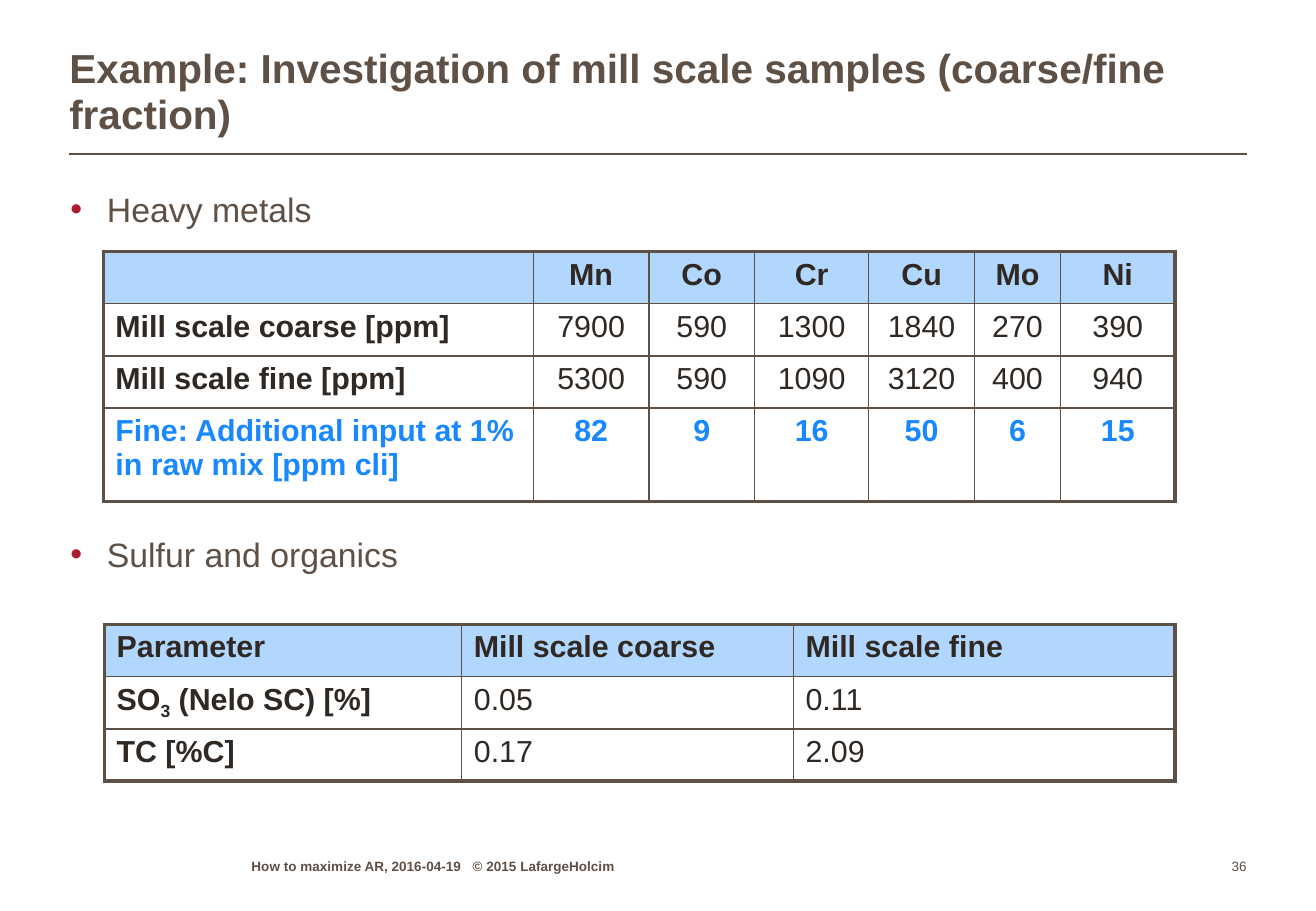
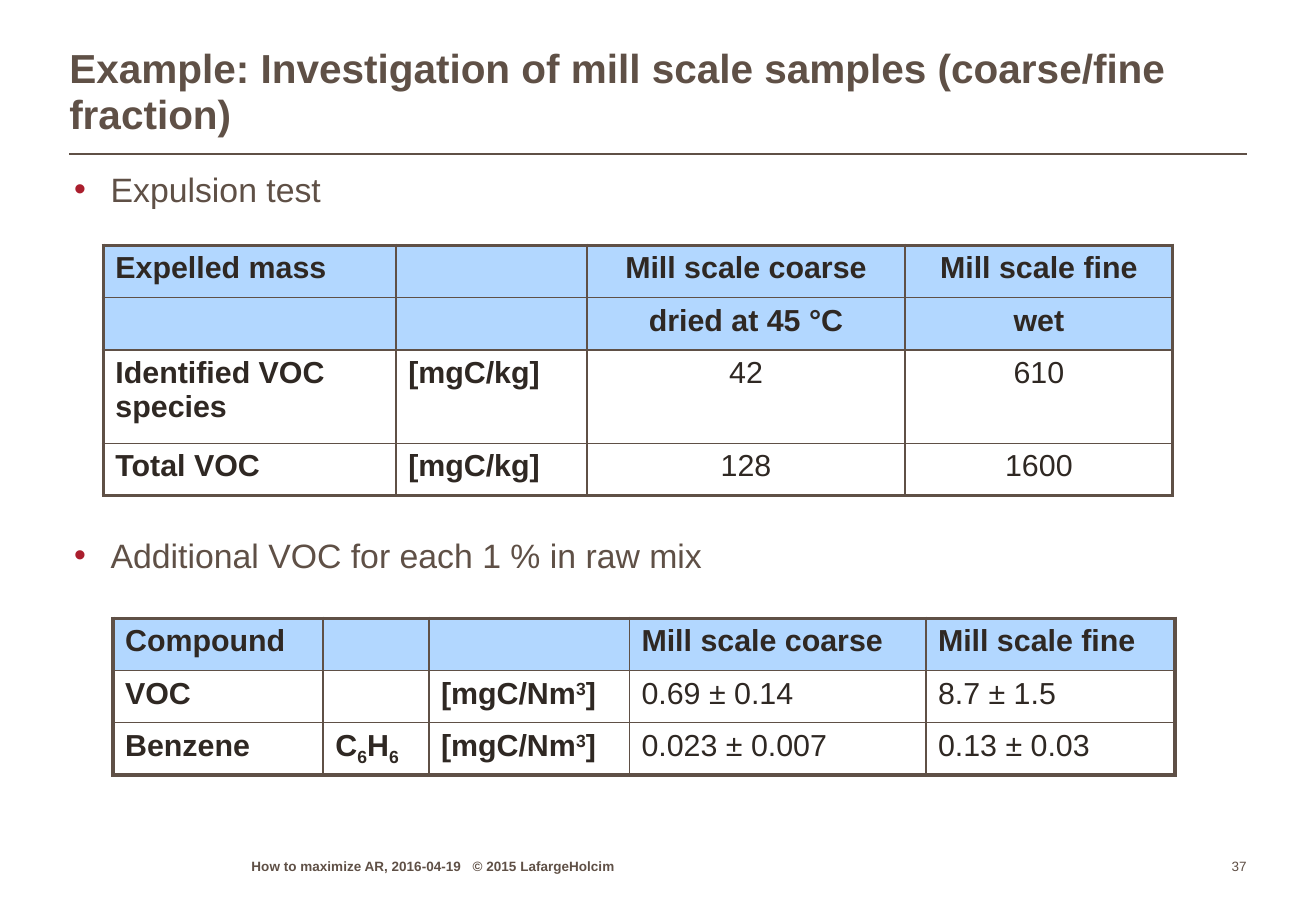
from lxml import etree
from pptx import Presentation
from pptx.dml.color import RGBColor
from pptx.enum.shapes import MSO_CONNECTOR
from pptx.enum.text import MSO_ANCHOR, MSO_AUTO_SIZE, PP_ALIGN
from pptx.oxml.ns import qn
from pptx.util import Inches, Pt

COLORS = {
    "brown": "5F5046",
    "ink": "2F2823",
    "header": "B2D7FF",
    "accent": "1988FF",
    "bullet": "AA1E2D",
}
FONT = "Arial"
TITLE = "Example: Investigation of mill scale samples (coarse/fine fraction)"
FOOTER = "How to maximize AR, 2016-04-19\t© 2015 LafargeHolcim"
LEFT, RIGHT = 0.57, 10.26
ROW, TALL_ROW = 0.43, 0.77
THIN, THICK = 1, 2.25
SUB, SUPER = -25, 30

SULFUR = [("SO", 0), ("3", SUB), (" (Nelo SC) [%]", 0)]
BENZENE = [("C", 0), ("6", SUB), ("H", 0), ("6", SUB)]
MG_PER_NM3 = [("[mgC/Nm", 0), ("3", SUPER), ("]", 0)]


def rgb(name):
    return RGBColor.from_string(COLORS[name])


def add_child(parent, tag, **attributes):
    return etree.SubElement(parent, qn(tag), attributes)


def add_solid_fill(parent, color):
    add_child(add_child(parent, "a:solidFill"), "a:srgbClr", val=COLORS[color])


class Deck:
    """Holds the shared style, the presentation and the current slide."""

    def __init__(self):
        self.presentation = Presentation()
        self.presentation.slide_width = Inches(10.83)
        self.presentation.slide_height = Inches(7.5)
        self.page = None

    def format_runs(self, para, size, color="brown", bold=False):
        for span in para.runs:
            font = span.font
            font.name, font.size, font.bold = FONT, Pt(size), bold
            font.color.rgb = rgb(color)

    def place(self, box, left, top, width, height):
        box.left, box.top = Inches(left), Inches(top)
        box.width, box.height = Inches(width), Inches(height)

    def prepare_frame(self, box, anchor, wrap=True):
        """Remove the insets and fix the size of a text frame."""
        frame = box.text_frame
        frame.margin_left = frame.margin_right = 0
        frame.margin_top = frame.margin_bottom = 0
        frame.auto_size = MSO_AUTO_SIZE.NONE
        frame.word_wrap = wrap
        frame.vertical_anchor = anchor
        return frame

    def add_page(self, number):
        layout = self.presentation.slide_layouts[1]
        self.page = self.presentation.slides.add_slide(layout)
        self.add_title()
        self.add_rule()
        footer = self.add_small_text(FOOTER, 2.07, 3.47, bold=True)
        tabs = add_child(footer._p.get_or_add_pPr(), "a:tabLst")
        add_child(tabs, "a:tab", pos=str(Inches(1.82)), algn="l")
        page_number = self.add_small_text(str(number), 9.79, 0.47, wrap=False)
        page_number.alignment = PP_ALIGN.RIGHT

    def add_title(self):
        title = self.page.shapes.title
        self.place(title, LEFT, 0.21, RIGHT - LEFT, 0.93)
        frame = self.prepare_frame(title, MSO_ANCHOR.BOTTOM)
        frame.text = TITLE
        para = frame.paragraphs[0]
        para.alignment = PP_ALIGN.LEFT
        para.line_spacing = 0.95
        self.format_runs(para, 24, bold=True)

    def add_rule(self):
        rule = self.page.shapes.add_connector(
            MSO_CONNECTOR.STRAIGHT,
            Inches(LEFT), Inches(1.27), Inches(RIGHT), Inches(1.27))
        rule.line.color.rgb = rgb("brown")
        rule.line.width = Pt(THIN)
        add_child(rule._element.spPr, "a:effectLst")

    def add_small_text(self, text, left, width, bold=False, wrap=True):
        box = self.page.shapes.add_textbox(
            Inches(left), Inches(7.02), Inches(width), Inches(0.18))
        frame = self.prepare_frame(box, MSO_ANCHOR.BOTTOM, wrap)
        frame.text = text
        para = frame.paragraphs[0]
        self.format_runs(para, 8, bold=bold)
        return para

    def add_bullets(self, texts, left, top, height, gap):
        """Fill the body; gap (points) leaves room for a table between bullets."""
        body = self.page.placeholders[1]
        self.place(body, left, top, 9.61, height)
        frame = self.prepare_frame(body, MSO_ANCHOR.TOP)
        frame.text = "\n".join(texts)
        for index, para in enumerate(frame.paragraphs):
            properties = para._p.get_or_add_pPr()
            properties.set("marL", str(Inches(0.3)))
            properties.set("indent", str(-Inches(0.3)))
            color = add_child(properties, "a:buClr")
            add_child(color, "a:srgbClr", val=COLORS["bullet"])
            add_child(properties, "a:buChar", char="•")
            para.space_before = Pt(gap if index else 0)
            self.format_runs(para, 20)

    def add_table(self, left, top, widths, heights, rows, header_rows=1,
                  label_columns=1, centered=False, accent_row=None):
        shape = self.page.shapes.add_table(
            len(rows), len(widths), Inches(left), Inches(top),
            Inches(sum(widths)), Inches(sum(heights)))
        table = shape.table
        table.first_row = table.horz_banding = False
        for column, width in zip(table.columns, widths):
            column.width = Inches(width)
        for row, height in zip(table.rows, heights):
            row.height = Inches(height)
        last_row, last_column = len(rows) - 1, len(widths) - 1
        for r, values in enumerate(rows):
            header, accent = r < header_rows, r == accent_row
            for c, value in enumerate(values):
                cell = table.cell(r, c)
                label = c < label_columns
                self.add_borders(cell, c == 0, c == last_column,
                                 r == 0, r == last_row)
                if header:
                    cell.fill.solid()
                    cell.fill.fore_color.rgb = rgb("header")
                else:
                    cell.fill.background()
                para = cell.text_frame.paragraphs[0]
                if centered and not label:
                    para.alignment = PP_ALIGN.CENTER
                self.fill_paragraph(para, value)
                self.format_runs(para, 18, "accent" if accent else "ink",
                                 header or label or accent)

    def fill_paragraph(self, para, value):
        """Write a string, or a list of (text, baseline percent) pairs."""
        if isinstance(value, str):
            para.text = value
            return
        for text, baseline in value:
            span = para.add_run()
            span.text = text
            if baseline:
                span._r.get_or_add_rPr().set("baseline", str(baseline * 1000))

    def add_borders(self, cell, *outer):
        """Outer tells for left, right, top, bottom if it is a table edge."""
        properties = cell._tc.get_or_add_tcPr()
        for side, is_edge in zip("LRTB", outer):
            width = Pt(THICK if is_edge else THIN)
            border = add_child(properties, f"a:ln{side}", w=str(width))
            add_solid_fill(border, "brown")


def build_metals_page(deck):
    deck.add_page(36)
    deck.add_bullets(["Heavy metals", "Sulfur and organics"],
                     0.58, 1.55, 5.28, gap=181)
    deck.add_table(
        0.85, 2.07, [3.54, 0.95, 0.87, 0.94, 0.87, 0.71, 0.94],
        [ROW, ROW, ROW, TALL_ROW],
        [["", "Mn", "Co", "Cr", "Cu", "Mo", "Ni"],
         ["Mill scale coarse [ppm]", "7900", "590", "1300", "1840", "270", "390"],
         ["Mill scale fine [ppm]", "5300", "590", "1090", "3120", "400", "940"],
         ["Fine: Additional input at 1% in raw mix [ppm cli]",
          "82", "9", "16", "50", "6", "15"]],
        centered=True, accent_row=3)
    deck.add_table(
        0.86, 5.14, [2.94, 2.73, 3.14], [ROW] * 3,
        [["Parameter", "Mill scale coarse", "Mill scale fine"],
         [SULFUR, "0.05", "0.11"],
         ["TC [%C]", "0.17", "2.09"]])


def build_expulsion_page(deck):
    deck.add_page(37)
    deck.add_bullets(["Expulsion test", "Additional VOC for each 1 % in raw mix"],
                     0.61, 1.39, 5.59, gap=193)
    deck.add_table(
        0.85, 2.02, [2.41, 1.57, 2.62, 2.2], [ROW, ROW, TALL_ROW, ROW],
        [["Expelled mass", "", "Mill scale coarse", "Mill scale fine"],
         ["", "", "dried at 45 °C", "wet"],
         ["Identified VOC species", "[mgC/kg]", "42", "610"],
         ["Total VOC", "[mgC/kg]", "128", "1600"]],
        header_rows=2, label_columns=2, centered=True)
    deck.add_table(
        0.93, 5.09, [1.73, 0.87, 1.65, 2.44, 2.05], [ROW] * 3,
        [["Compound", "", "", "Mill scale coarse", "Mill scale fine"],
         ["VOC", "", MG_PER_NM3, "0.69 ± 0.14", "8.7 ± 1.5"],
         ["Benzene", BENZENE, MG_PER_NM3, "0.023 ± 0.007", "0.13 ± 0.03"]],
        label_columns=3)


def main():
    deck = Deck()
    build_metals_page(deck)
    build_expulsion_page(deck)
    deck.presentation.save("out.pptx")


if __name__ == "__main__":
    main()
